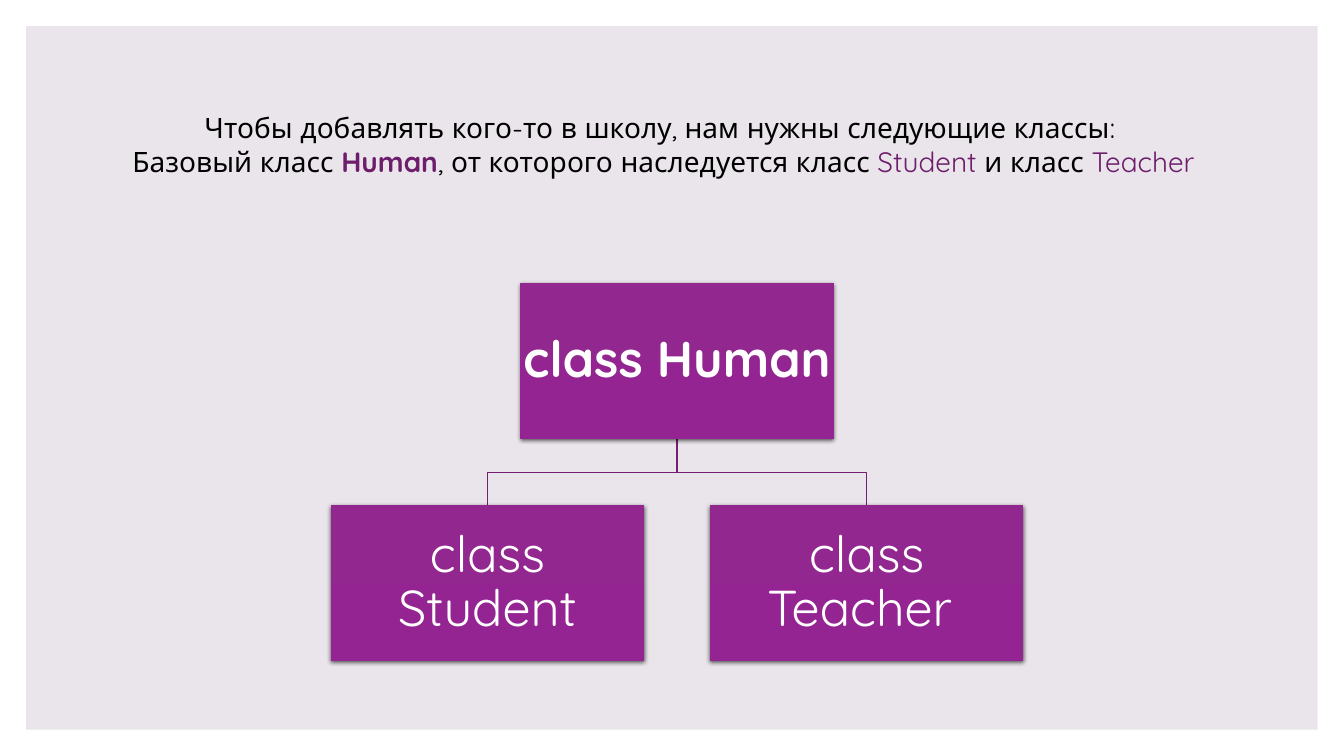
from dataclasses import dataclass

from lxml import etree
from pptx import Presentation
from pptx.dml.color import RGBColor
from pptx.enum.shapes import MSO_SHAPE
from pptx.enum.text import MSO_ANCHOR, MSO_AUTO_SIZE, PP_ALIGN
from pptx.oxml.ns import qn
from pptx.util import Inches, Pt

RECTANGLE = MSO_SHAPE.RECTANGLE
CENTER = PP_ALIGN.CENTER
TITLE_ONLY_LAYOUT = 5


@dataclass(frozen=True)
class Theme:
    font: str = "Quicksand"
    panel: RGBColor = RGBColor(0xEA, 0xE5, 0xEB)
    box_top: RGBColor = RGBColor(0x92, 0x27, 0x8F)
    box_bottom: RGBColor = RGBColor(0x94, 0x24, 0x91)
    branch: RGBColor = RGBColor(0x75, 0x1F, 0x73)
    accent: RGBColor = RGBColor(0x6D, 0x1D, 0x6B)
    text: RGBColor = RGBColor(0, 0, 0)
    box_text: RGBColor = RGBColor(255, 255, 255)
    title_size: Pt = Pt(20)
    box_size: Pt = Pt(36)


THEME = Theme()


def add_panel(slide, left, top, width, height):
    """Place the tinted panel behind everything else on the slide."""
    panel = slide.shapes.add_shape(RECTANGLE, left, top, width, height)
    panel.shadow.inherit = False
    panel.fill.solid()
    panel.fill.fore_color.rgb = THEME.panel
    panel.line.fill.background()
    slide.shapes._spTree.insert(2, panel._element)


def add_title(slide, left, top, width, height):
    title = slide.shapes.title
    title.left, title.top, title.width, title.height = left, top, width, height
    frame = title.text_frame
    frame.word_wrap = True
    frame.auto_size = MSO_AUTO_SIZE.NONE
    frame.vertical_anchor = MSO_ANCHOR.TOP
    paragraph = frame.paragraphs[0]
    paragraph.alignment = CENTER
    paragraph.font.name = THEME.font
    paragraph.font.size = THEME.title_size
    paragraph.add_run().text = "Чтобы добавлять кого-то в школу, нам нужны следующие классы: "
    paragraph.add_line_break()
    for text, color, bold in (
        ("Базовый класс ", THEME.text, False),
        ("Human", THEME.accent, True),
        (", от которого наследуется класс ", THEME.text, False),
        ("Student ", THEME.accent, False),
        ("и класс ", THEME.text, False),
        ("Teacher", THEME.accent, False),
    ):
        run = paragraph.add_run()
        run.text = text
        run.font.color.rgb = color
        run.font.bold = bold


def add_soft_shadow(shape):
    shape.shadow.inherit = False
    effects = shape._element.spPr.find(qn("a:effectLst"))
    shadow = etree.SubElement(
        effects, qn("a:outerShdw"), blurRad=str(Pt(3)), dist=str(Pt(1)),
        dir="5400000", algn="ctr", rotWithShape="0")
    color = etree.SubElement(shadow, qn("a:srgbClr"), val="000000")
    etree.SubElement(color, qn("a:alpha"), val="63000")


def add_class_box(slide, text, left, top, width, height, bold=False):
    box = slide.shapes.add_shape(RECTANGLE, left, top, width, height)
    box.line.fill.background()
    box.fill.gradient()
    box.fill.gradient_angle = 270
    for stop, color in zip(box.fill.gradient_stops, (THEME.box_top, THEME.box_bottom)):
        stop.color.rgb = color
    add_soft_shadow(box)
    frame = box.text_frame
    frame.word_wrap = True
    frame.vertical_anchor = MSO_ANCHOR.MIDDLE
    frame.margin_left = frame.margin_right = Inches(0.03)
    frame.margin_top = frame.margin_bottom = Inches(0.03)
    paragraph = frame.paragraphs[0]
    paragraph.text = text
    paragraph.alignment = CENTER
    paragraph.line_spacing = 0.9
    paragraph.font.name = THEME.font
    paragraph.font.size = THEME.box_size
    paragraph.font.bold = bold
    paragraph.font.color.rgb = THEME.box_text


def add_branch(slide, start_x, start_y, end_x, end_y):
    """Draw a line that goes down, across at half height, and down again."""
    middle_y = (start_y + end_y) // 2
    builder = slide.shapes.build_freeform(start_x, start_y)
    builder.add_line_segments(
        [(start_x, middle_y), (end_x, middle_y), (end_x, end_y)], close=False)
    branch = builder.convert_to_shape()
    branch.shadow.inherit = False
    branch.fill.background()
    branch.line.color.rgb = THEME.branch
    branch.line.width = Pt(1)


def add_class_tree(slide, left, top, width, height, parent, children):
    """Center the parent over a row of children spread across the given box."""
    box_width, box_height = Inches(3.11), Inches(1.55)
    step = (width - box_width) // (len(children) - 1)
    parent_left = left + (width - box_width) // 2
    child_top = top + height - box_height
    child_lefts = [left + column * step for column in range(len(children))]
    for child_left in child_lefts:
        add_branch(slide, parent_left + box_width // 2, top + box_height,
                   child_left + box_width // 2, child_top)
    add_class_box(slide, parent, parent_left, top, box_width, box_height, bold=True)
    for child, child_left in zip(children, child_lefts):
        add_class_box(slide, child, child_left, child_top, box_width, box_height)


def main():
    presentation = Presentation()
    presentation.slide_width = Inches(13.33)
    presentation.slide_height = Inches(7.5)
    slide = presentation.slides.add_slide(presentation.slide_layouts[TITLE_ONLY_LAYOUT])
    margin = Inches(0.26)
    add_panel(slide, margin, margin, presentation.slide_width - 2 * margin,
              presentation.slide_height - 2 * margin)
    add_title(slide, Inches(0.89), Inches(1.05), Inches(11.38), Inches(0.77))
    add_class_tree(slide, Inches(3.28), Inches(2.81), Inches(6.87), Inches(3.75),
                   "class Human ", ("class Student", "class Teacher "))
    presentation.save("out.pptx")


if __name__ == "__main__":
    main()
